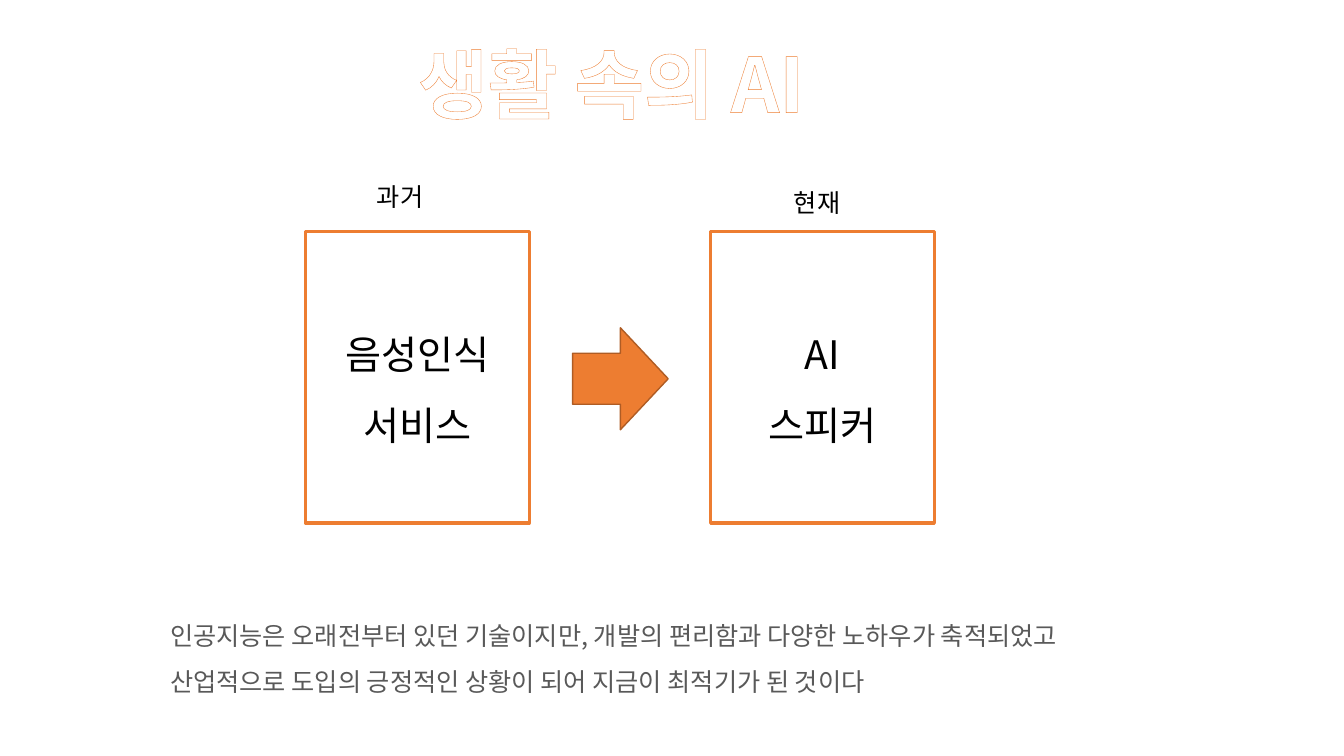
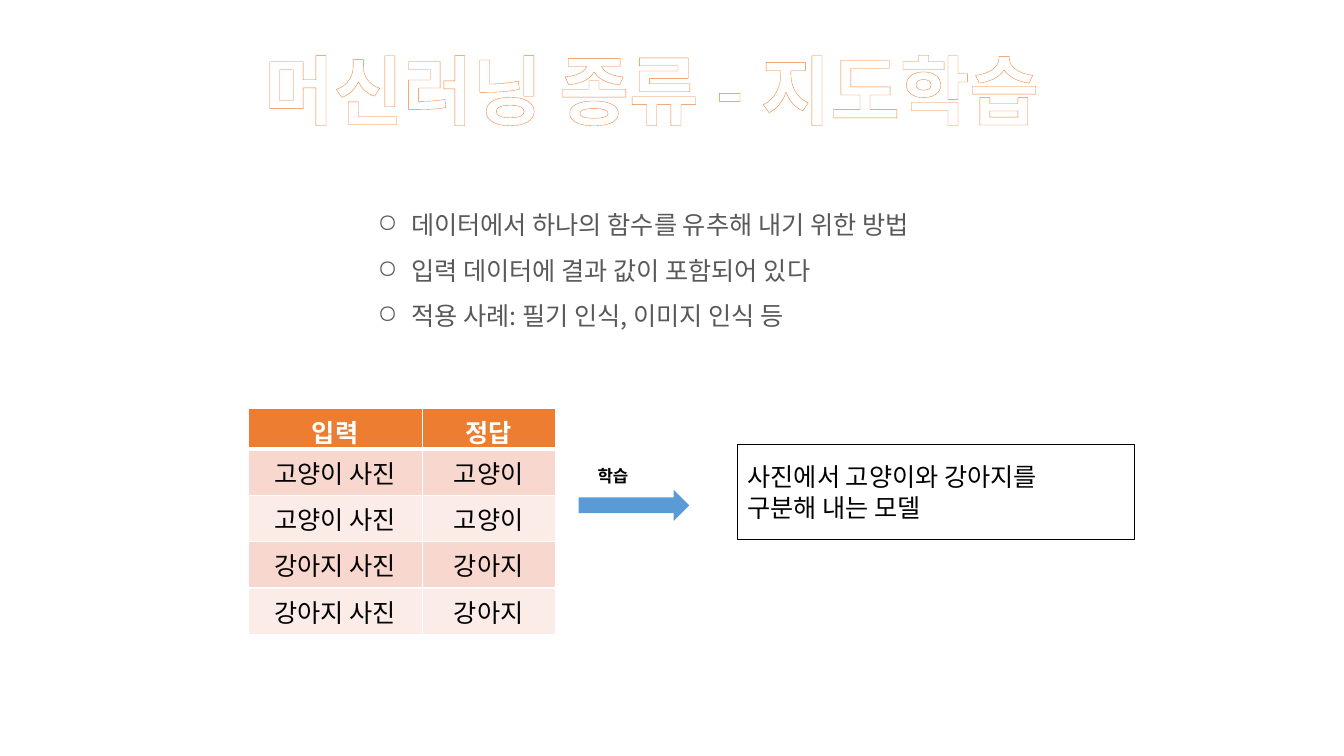
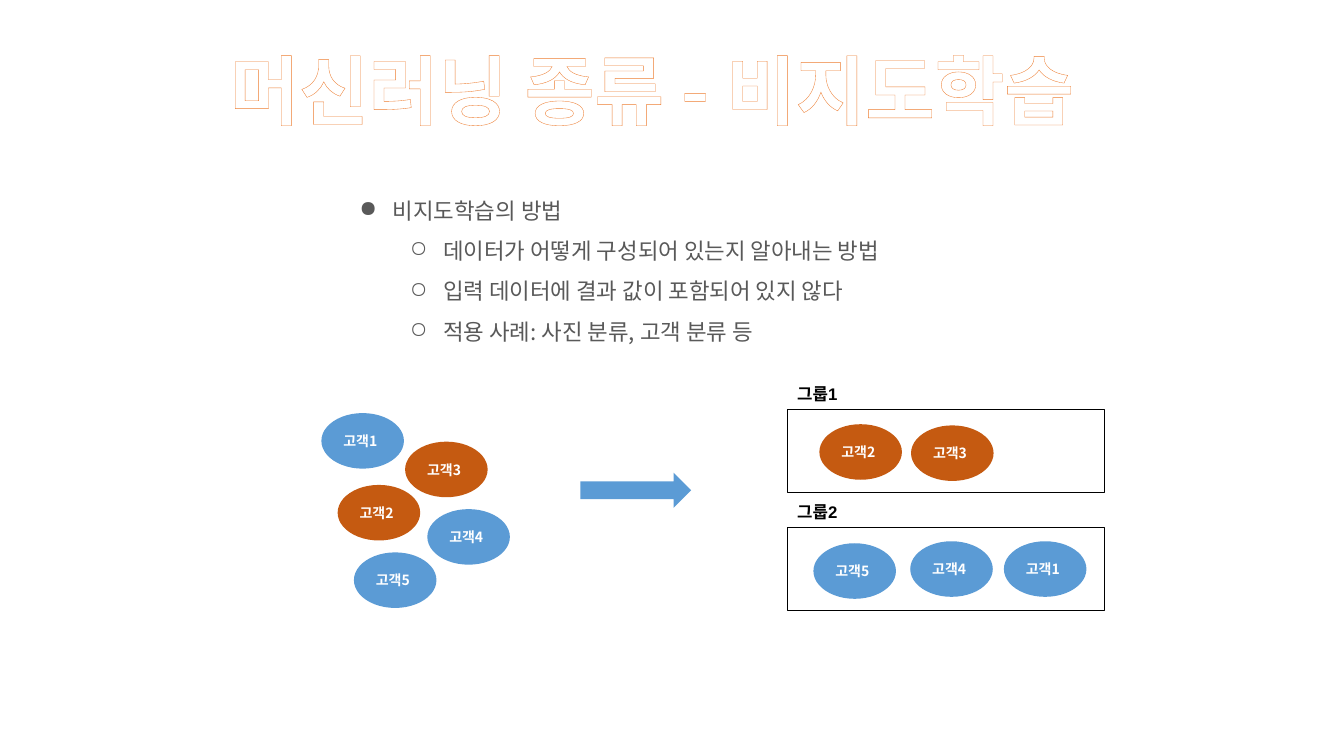
from lxml.etree import SubElement
from pptx import Presentation
from pptx.dml.color import RGBColor
from pptx.enum.shapes import MSO_SHAPE
from pptx.enum.text import MSO_ANCHOR, MSO_AUTO_SIZE, PP_ALIGN
from pptx.oxml.ns import qn
from pptx.util import Cm, Pt

HUES = {
    "white": "FFFFFF", "black": "000000", "gray": "595959",
    "orange": "ED7D31", "edge": "AF5C24", "rust": "C55A11",
    "blue": "5B9BD5", "pink": "F8D7CE", "pale": "FCECE8",
}
KOREAN = "Noto Sans CJK KR"
LATIN = "Arial"
LEFT, CENTER = PP_ALIGN.LEFT, PP_ALIGN.CENTER
ROUND, ARROW, RECT = MSO_SHAPE.OVAL, MSO_SHAPE.RIGHT_ARROW, MSO_SHAPE.RECTANGLE
OVAL = (2.08, 1.4)
GROUP = (8, 2.11)


def hue(name):
    return RGBColor.from_string(HUES[name])


def solid(parent, tag, color):
    """Add a child holding a solid colour."""
    node = SubElement(parent, qn(tag))
    fill = SubElement(node, qn("a:solidFill"))
    SubElement(fill, qn("a:srgbClr"), val=HUES[color])
    return node


# Text
def style(par, size, color, bold=False, face=KOREAN, align=LEFT, space=None):
    par.alignment = align
    if space:
        par.line_spacing = space
    font = par.font
    font.size, font.bold, font.name = Pt(size), bold, face
    font.color.rgb = hue(color)
    node = par._p.pPr.find(qn("a:defRPr"))
    node.find(qn("a:latin")).addnext(node.makeelement(qn("a:ea"), typeface=KOREAN))
    return node


def write(frame, lines, *args, **opts):
    """Fill a text frame with one paragraph a line."""
    frame.text = "\n".join(lines)
    for par in frame.paragraphs:
        style(par, *args, **opts)


def add_box(slide, left, top, width, height, wrap=True):
    box = slide.shapes.add_textbox(Cm(left), Cm(top), Cm(width), Cm(height))
    frame = box.text_frame
    frame.word_wrap = wrap
    frame.auto_size = MSO_AUTO_SIZE.SHAPE_TO_FIT_TEXT
    return frame


def add_title(slide, text, left, top, width):
    frame = add_box(slide, left, top, width, 2.57, wrap=False)
    frame.text = text
    node = style(frame.paragraphs[0], 54, "white", bold=True, align=CENTER)
    line = solid(node, "a:ln", "orange")
    line.set("w", str(Pt(0.52)))
    node.insert(0, line)


def add_label(slide, text, left, top, width):
    frame = add_box(slide, left, top, width, 0.76, wrap=False)
    write(frame, [text], 12, "black", bold=True, face=LATIN)


def add_list(slide, items, left, top, width, height, size):
    """Add bullets from pairs of level and text."""
    frame = add_box(slide, left, top, width, height)
    frame.text = "\n".join(text for _, text in items)
    for par, (level, _) in zip(frame.paragraphs, items):
        par.level = level
        prop = par._p.get_or_add_pPr()
        prop.set("marL", str(Cm(1.27 * (level + 1))))
        prop.set("indent", str(Cm(-0.84)))
        tint = SubElement(prop, qn("a:buClr"))
        SubElement(tint, qn("a:srgbClr"), val=HUES["gray"])
        SubElement(prop, qn("a:buChar"), char="●○"[level])
        style(par, size, "gray", space=1.5)


# Shapes
def add_form(slide, kind, left, top, width, height, fill=None, line=None, weight=1):
    form = slide.shapes.add_shape(kind, Cm(left), Cm(top), Cm(width), Cm(height))
    form.shadow.inherit = False
    if fill:
        form.fill.solid()
        form.fill.fore_color.rgb = hue(fill)
    else:
        form.fill.background()
    if line:
        form.line.color.rgb = hue(line)
        form.line.width = Pt(weight)
    else:
        form.line.fill.background()
    form.text_frame.vertical_anchor = MSO_ANCHOR.MIDDLE
    return form


def add_oval(slide, num, left, top):
    fill = "rust" if num in (2, 3) else "blue"
    oval = add_form(slide, ROUND, left, top, *OVAL, fill)
    write(oval.text_frame, [f"고객{num}"], 10, "white", bold=True)


# Table
def add_grid(slide, rows, left, top, widths, heights):
    frame = slide.shapes.add_table(len(rows), len(widths), Cm(left), Cm(top),
                                   Cm(sum(widths)), Cm(sum(heights)))
    grid = frame.table
    for col, width in zip(grid.columns, widths):
        col.width = Cm(width)
    for i, (row, height) in enumerate(zip(rows, heights)):
        grid.rows[i].height = Cm(height)
        head = i == 0
        for j, text in enumerate(row):
            cell = grid.cell(i, j)
            write(cell.text_frame, [text], 18, "white" if head else "black",
                  bold=head, align=CENTER)
            prop = cell._tc.get_or_add_tcPr()
            for side in "LRTB":
                thick = (head and side == "B") or (i == 1 and side == "T")
                line = solid(prop, f"a:ln{side}", "white")
                line.set("w", str(Pt(3 if thick else 1)))
            cell.fill.solid()
            cell.fill.fore_color.rgb = hue("orange" if head else ("pale", "pink")[i % 2])


# Slides
def show_life(slide):
    add_title(slide, "생활 속의 AI", 9.65, 0.81, 11.51)
    frame = add_box(slide, 3.33, 14.35, 30.53, 3.58)
    frame.margin_top = Cm(0.91)
    write(frame, ["인공지능은 오래전부터 있던 기술이지만, 개발의 편리함과 다양한 노하우가 축적되었고",
                  "산업적으로 도입의 긍정적인 상황이 되어 지금이 최적기가 된 것이다"],
          18, "gray", space=1.5)
    for par in frame.paragraphs:
        par._p.pPr.set("marL", str(Cm(0.71)))
    add_form(slide, ARROW, 14.43, 8.26, 2.41, 2.57, "orange", "edge")
    cards = [("과거", 9.25, 4.45, 7.7, ["음성인식", "서비스"]),
             ("현재", 19.76, 4.6, 17.91, ["AI", "스피커"])]
    for era, left, top, edge, lines in cards:
        card = add_form(slide, RECT, edge, 5.84, 5.64, 7.34, "white", "orange", 2.25)
        write(card.text_frame, lines, 28, "black", align=CENTER, space=1.5)
        write(add_box(slide, left, top, 2.13, 1.02), [era], 18, "black")


def show_guided(slide):
    add_title(slide, "머신러닝 종류 - 지도학습", 5.13, 0.97, 22.58)
    add_list(slide, [(1, "데이터에서 하나의 함수를 유추해 내기 위한 방법"),
                     (1, "입력 데이터에 결과 값이 포함되어 있다"),
                     (1, "적용 사례: 필기 인식, 이미지 인식 등")],
             7.57, 4.78, 18.72, 3.58, 18)
    pets = ["고양이", "고양이", "강아지", "강아지"]
    rows = [("입력", "정답")] + [(f"{pet} 사진", pet) for pet in pets]
    add_grid(slide, rows, 6.25, 10.29, [4.39, 3.35], [0.46] + [1.17] * 4)
    add_form(slide, ARROW, 14.58, 12.34, 2.79, 0.79, "blue")
    add_label(slide, "학습", 14.81, 11.61, 1.37)
    model = add_form(slide, RECT, 18.59, 11.2, 10.01, 2.39, "white", "black", 0.5)
    write(model.text_frame, ["사진에서 고양이와 강아지를", "구분해 내는 모델"], 18, "black")


def show_free(slide):
    add_title(slide, "머신러닝 종류 - 비지도학습", 4.17, 0.97, 24.51)
    add_list(slide, [(0, "비지도학습의 방법"),
                     (1, "데이터가 어떻게 구성되어 있는지 알아내는 방법"),
                     (1, "입력 데이터에 결과 값이 포함되어 있지 않다"),
                     (1, "적용 사례: 사진 분류, 고객 분류 등")],
             8.38, 4.5, 16.92, 4.22, 16)
    mixed = [(1, 8.1, 10.41), (2, 8.51, 12.22), (3, 10.21, 11.13),
             (4, 10.77, 12.83), (5, 8.92, 13.92)]
    sorted_ = [(1, 25.3, 13.64), (2, 20.65, 10.69), (3, 22.96, 10.72),
               (4, 22.94, 13.64), (5, 20.5, 13.69)]
    for spot in mixed + sorted_:
        add_oval(slide, *spot)
    add_form(slide, ARROW, 14.63, 11.91, 2.79, 0.89, "blue")
    for num, top in enumerate((10.31, 13.28), 1):
        add_form(slide, RECT, 19.84, top, *GROUP, line="black", weight=0.5)
        add_label(slide, f"그룹{num}", 19.84, top - 0.77, 1.63)


def main():
    deck = Presentation()
    deck.slide_width, deck.slide_height = Cm(33.87), Cm(19.05)
    for show in (show_life, show_guided, show_free):
        show(deck.slides.add_slide(deck.slide_layouts[6]))
    deck.save("out.pptx")


if __name__ == "__main__":
    main()
